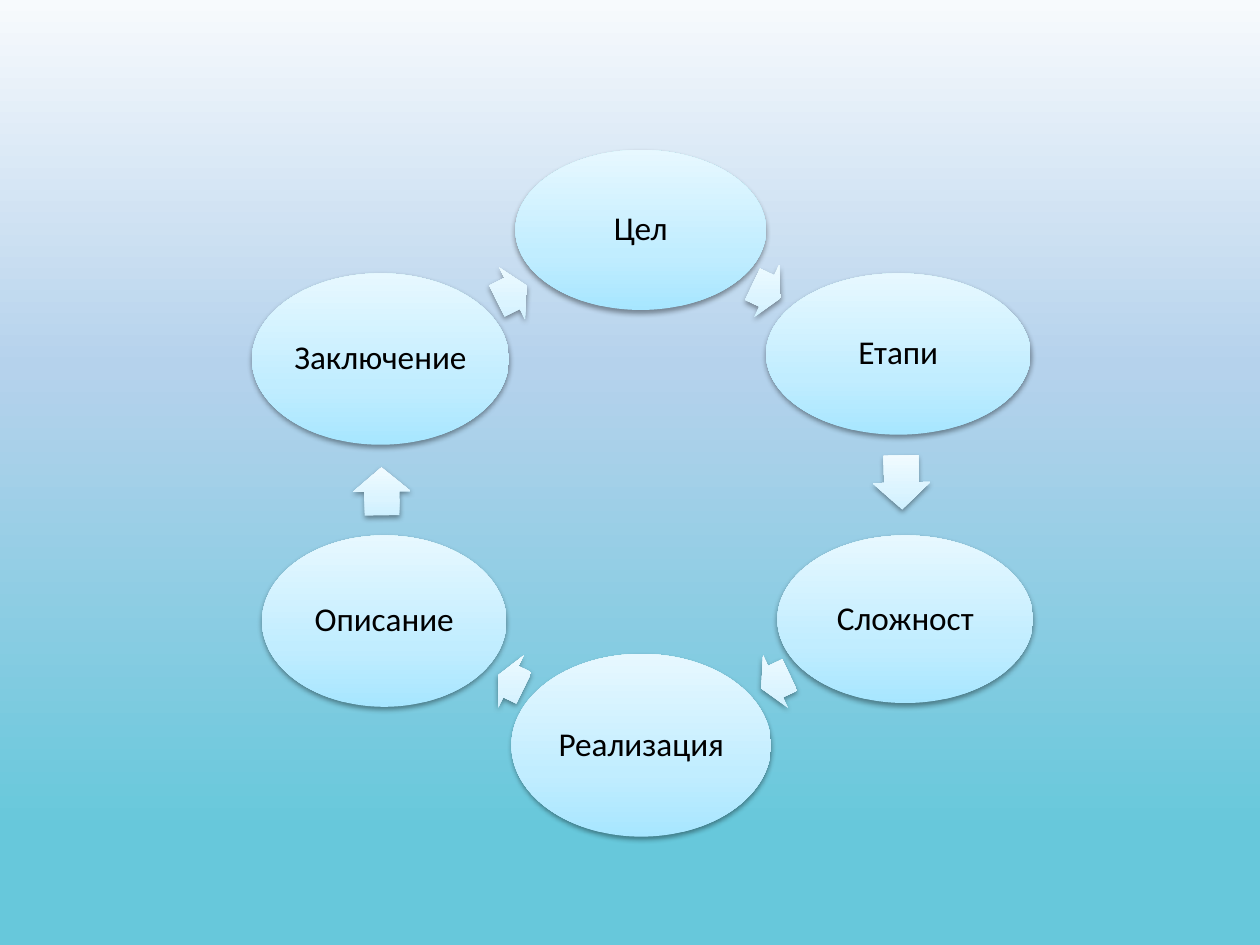
from lxml import etree
from pptx import Presentation
from pptx.dml.color import RGBColor
from pptx.enum.shapes import MSO_SHAPE
from pptx.enum.text import MSO_ANCHOR, PP_ALIGN
from pptx.oxml.ns import qn
from pptx.util import Inches, Pt

OVAL, ARROW = MSO_SHAPE.OVAL, MSO_SHAPE.RIGHT_ARROW
MIDDLE, CENTER = MSO_ANCHOR.MIDDLE, PP_ALIGN.CENTER

COLORS = {"text": "000000", "shadow": "000000"}
GRADIENTS = {  # stops as (percent, colour), then angle
    "background": ([(0, "F7FAFD"), (39, "B5D2EC"), (88, "67C8DB")], 90),
    "step": ([(0, "A7E6FF"), (35, "C1EDFF"), (100, "E7F8FF")], 270),
    "arrow": ([(0, "CEF0FF"), (35, "DBF4FF"), (100, "F1FBFF")], 270),
}
FONT, FONT_SIZE = "Calibri", 19
ARROW_HEIGHT = 0.46

# Each step: label, oval (left, top, width, height),
# then the arrow to the next step (left, top, width, rotation)
STEPS = [
    ("Цел", (4.09, 1.19, 1.99, 1.27), (5.96, 2.08, 0.25, 25.6)),
    ("Етапи", (6.08, 2.17, 2.1, 1.28), (6.94, 3.6, 0.43, 88.6)),
    ("Сложност", (6.17, 4.25, 2.03, 1.33), (6.03, 5.18, 0.25, 154.5)),
    ("Реализация", (4.06, 5.19, 2.06, 1.45), (3.94, 5.18, 0.23, 205.8)),
    ("Описание", (2.08, 4.25, 1.94, 1.36), (2.84, 3.67, 0.38, 269.1)),
    ("Заключение", (2, 2.17, 2.04, 1.36), (3.93, 2.1, 0.27, 333.7)),
]


def add_child(parent, tag, **attributes):
    child = etree.SubElement(parent, qn(tag))
    for name, value in attributes.items():
        child.set(name, str(value))
    return child


def paint_gradient(fill, owner, name):
    stops, angle = GRADIENTS[name]
    fill.gradient()
    gradient = next(owner.iter(qn("a:gradFill")))
    for child in list(gradient):
        gradient.remove(child)
    gradient.set("rotWithShape", "0")
    stop_list = add_child(gradient, "a:gsLst")
    for percent, color in stops:
        stop = add_child(stop_list, "a:gs", pos=percent * 1000)
        add_child(stop, "a:srgbClr", val=color)
    add_child(gradient, "a:lin", ang=angle * 60000, scaled=0)


def add_part(page, kind, place, gradient):
    part = page.shapes.add_shape(kind, *(Inches(length) for length in place))
    paint_gradient(part.fill, part.element, gradient)
    part.line.fill.background()
    # Soft shadow straight below
    part.shadow.inherit = False
    effects = next(part.element.iter(qn("a:effectLst")))
    shadow = add_child(effects, "a:outerShdw", blurRad=Pt(3.1), dist=Pt(1.6),
                       dir=90 * 60000, rotWithShape=0)
    color = add_child(shadow, "a:srgbClr", val=COLORS["shadow"])
    add_child(color, "a:alpha", val=38000)
    return part


def write_label(oval, label):
    frame = oval.text_frame
    frame.word_wrap = False
    frame.vertical_anchor = MIDDLE
    frame.margin_left = frame.margin_right = Inches(0.03)
    frame.margin_top = frame.margin_bottom = Inches(0.03)
    frame.text = label
    para = frame.paragraphs[0]
    para.alignment = CENTER
    para.line_spacing = 0.9
    font = para.runs[0].font
    font.name, font.size = FONT, Pt(FONT_SIZE)
    font.color.rgb = RGBColor.from_string(COLORS["text"])


deck = Presentation()
deck.slide_width, deck.slide_height = Inches(10), Inches(7.5)
page = deck.slides.add_slide(deck.slide_layouts[6])
paint_gradient(page.background.fill, page.element, "background")

# Cycle of steps
for label, oval_place, (left, top, width, rotation) in STEPS:
    write_label(add_part(page, OVAL, oval_place, "step"), label)
    arrow = add_part(page, ARROW, (left, top, width, ARROW_HEIGHT), "arrow")
    arrow.adjustments[0], arrow.adjustments[1] = 0.6, 0.5
    arrow.rotation = rotation

deck.save("out.pptx")
